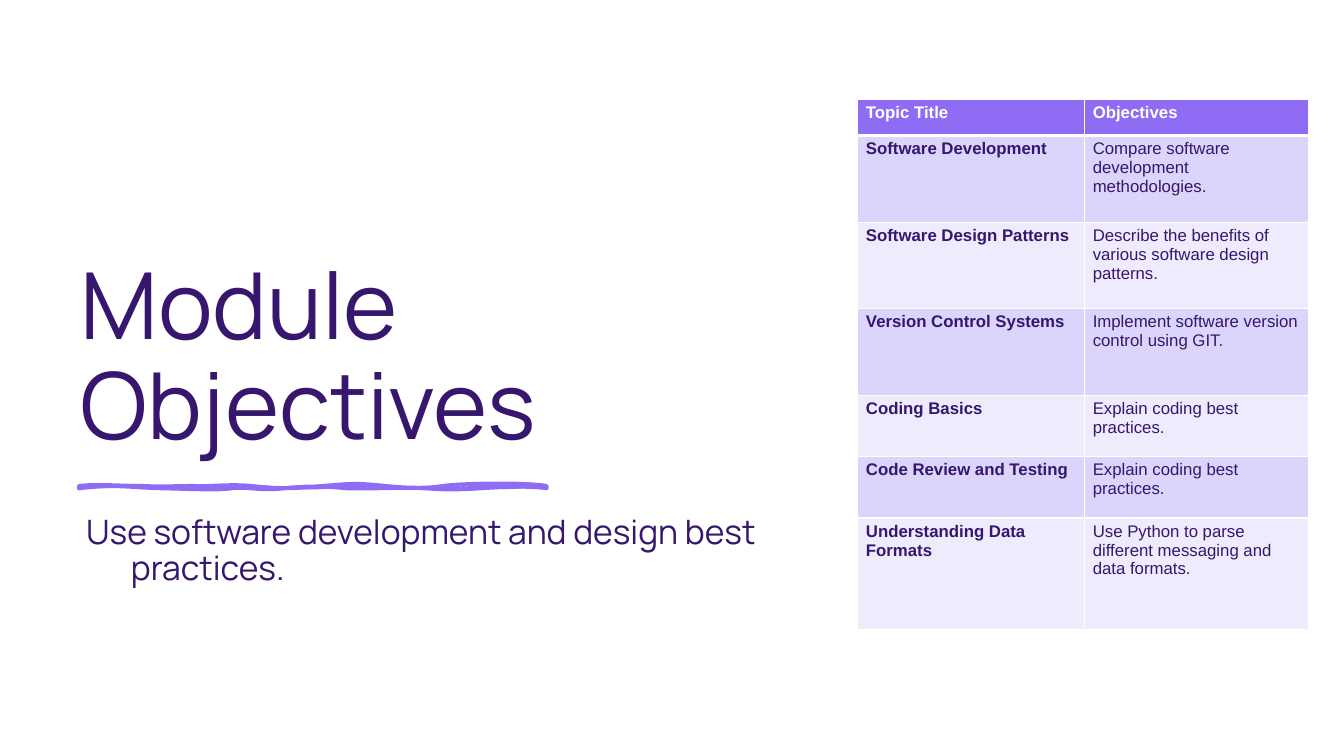
from lxml import etree
from pptx import Presentation
from pptx.dml.color import RGBColor
from pptx.enum import text
from pptx.oxml import ns
from pptx.util import Pt

INK = RGBColor(0x36, 0x17, 0x6D)
VIOLET = RGBColor(0x8E, 0x6C, 0xF4)
LILAC = RGBColor(0xDB, 0xD4, 0xFB)
PALE = RGBColor(0xEE, 0xEB, 0xFD)
WHITE = RGBColor(0xFF, 0xFF, 0xFF)

ROWS = [
    ("Topic Title", "Objectives", 25.9),
    ("Software Development", "Compare software development methodologies.", 61.8),
    ("Software Design Patterns",
     "Describe the benefits of various software design patterns.", 61.8),
    ("Version Control Systems", "Implement software version control using GIT.", 61.8),
    ("Coding Basics", "Explain coding best practices.", 43.9),
    ("Code Review and Testing", "Explain coding best practices.", 43.9),
    ("Understanding Data Formats",
     "Use Python to parse different messaging and data formats.", 79.9),
]

# Bezier curves of the wavy rule, each from the end of the one before
RIM = [(12, -1.5, 30, 0, 45, 0), (59, 0.7, 71, 0, 82, 0),
       (93, 0.7, 107, -1.5, 123, 0), (140, 2, 150, 2, 174, 0),
       (198, -2, 198, -2, 219, 0), (239, 2, 251, 1.5, 260, 0),
       (269, -1.5, 316, -3, 334, 0), (334, 0.7, 334, 0.7, 334, 1.5),
       (324, 0, 310, 0, 287, 1.5), (264, 3, 256, 2, 246, 1.5),
       (235, 0.7, 207, 2, 191, 1.5), (176, 0, 165, 0, 147, 1.5),
       (129, 3.5, 118, 0, 109, 1.5), (99, 3, 82, 2, 58, 1.5),
       (33, 0.7, 27, -1.5, 0, 1.5), (0, 1.5, 0, 0.7, 0, 0)]
BODY = [(10, 1.5, 24, 0, 45, 0), (64, 0, 66, 0.7, 82, 0),
        (99, -0.7, 125, -2, 137, 0), (148, 2, 162, 0.7, 181, 0),
        (200, 0, 212, -1.5, 225, 0), (238, 2, 267, 2, 280, 0),
        (292, -2, 311, -2, 334, 0), (334, 0.7, 334, 1.5, 334, 1.5),
        (325, 0, 310, 3.5, 293, 1.5), (276, 0, 258, 3.5, 246, 1.5),
        (233, -0.7, 216, 2, 198, 1.5), (179, 1.5, 163, 3.5, 153, 1.5),
        (144, -0.7, 111, 1.5, 99, 1.5), (87, 2, 66, 3, 45, 1.5),
        (23, 0.7, 11, 0.7, 0, 1.5), (0, 1.5, 0, 0.7, 0, 0)]


def add_text(slide, box, words, size, anchor):
    shape = slide.shapes.add_textbox(*map(Pt, box))
    frame = shape.text_frame
    frame.word_wrap = True
    frame.vertical_anchor = anchor
    para = frame.paragraphs[0]
    para.text = words
    para.line_spacing = 0.9
    font = para.font
    font.name, font.size, font.color.rgb = "Manrope", Pt(size), INK
    return para


def add_step(trail, tag, spots):
    step = etree.SubElement(trail, ns.qn("a:" + tag))
    for x, y in spots:
        etree.SubElement(step, ns.qn("a:pt"), x=str(Pt(x)), y=str(Pt(y)))


def add_wave(slide, box):
    left, top, width, height = map(Pt, box)
    pen = slide.shapes.build_freeform(left, top)
    pen.add_line_segments([(left + width, top), (left + width, top + height),
                           (left, top + height)])
    wave = pen.convert_to_shape()
    wave.shadow.inherit = False
    wave.fill.solid()
    wave.fill.fore_color.rgb = VIOLET
    wave.line.color.rgb = VIOLET
    wave.line.width = Pt(3)
    # Swap the straight outline for a stroked rim and a filled body
    trails = next(wave._element.iter(ns.qn("a:pathLst")))
    size = dict(trails[0].attrib)
    trails.remove(trails[0])
    for curves, look in ((RIM, {"fill": "none"}), (BODY, {"stroke": "0"})):
        trail = etree.SubElement(trails, ns.qn("a:path"), {**size, **look})
        add_step(trail, "moveTo", [(0, 0)])
        for curve in curves:
            add_step(trail, "cubicBezTo", zip(curve[::2], curve[1::2]))
        etree.SubElement(trail, ns.qn("a:close"))


def add_intro(slide, box):
    left, top, width, height = box
    # Title
    add_text(slide, (left, top, width, 306.4), "Module Objectives", 66,
             text.MSO_ANCHOR.BOTTOM)
    # Wavy rule
    add_wave(slide, (left + 6, top + 322, 334, 1.5))
    # Subtitle with a hanging indent
    para = add_text(slide, (left, top + 339.4, width, height - 339.4),
                    "Use software development and design best practices.", 24,
                    text.MSO_ANCHOR.TOP)
    para.space_before = Pt(10)
    props = para._p.get_or_add_pPr()
    props.set("marL", str(Pt(36)))
    props.set("indent", str(Pt(-32)))


def set_edge(cell, side, width):
    props = cell._tc.get_or_add_tcPr()
    line = etree.SubElement(props, ns.qn("a:ln" + side), w=str(Pt(width)))
    fill = etree.SubElement(line, ns.qn("a:solidFill"))
    etree.SubElement(fill, ns.qn("a:srgbClr"), val=str(WHITE))


def fill_cell(cell, words, row, col):
    # Borders, heavier under the header
    for side in "LRTB":
        heavy = (row, side) in ((0, "B"), (1, "T"))
        set_edge(cell, side, 3 if heavy else 1)
    cell.fill.solid()
    cell.fill.fore_color.rgb = VIOLET if row == 0 else (PALE, LILAC)[row % 2]
    cell.margin_left = cell.margin_right = Pt(5.8)
    cell.margin_top = cell.margin_bottom = Pt(2.9)
    para = cell.text_frame.paragraphs[0]
    para.text = words
    font = para.font
    font.name, font.size = "Arial", Pt(12)
    font.bold = row == 0 or col == 0
    font.color.rgb = WHITE if row == 0 else INK


def add_topics(slide, box):
    table = slide.shapes.add_table(len(ROWS), 2, *map(Pt, box)).table
    for col, width in enumerate((162, 160)):
        table.columns[col].width = Pt(width)
    for row, (*words, height) in enumerate(ROWS):
        table.rows[row].height = Pt(height)
        for col, word in enumerate(words):
            fill_cell(table.cell(row, col), word, row, col)


def main():
    deck = Presentation()
    deck.slide_width, deck.slide_height = Pt(960), Pt(540)
    slide = deck.slides.add_slide(deck.slide_layouts[6])
    add_intro(slide, (50.4, 25.2, 527, 463))
    add_topics(slide, (612.8, 71, 322, 379))
    deck.save("out.pptx")


if __name__ == "__main__":
    main()
